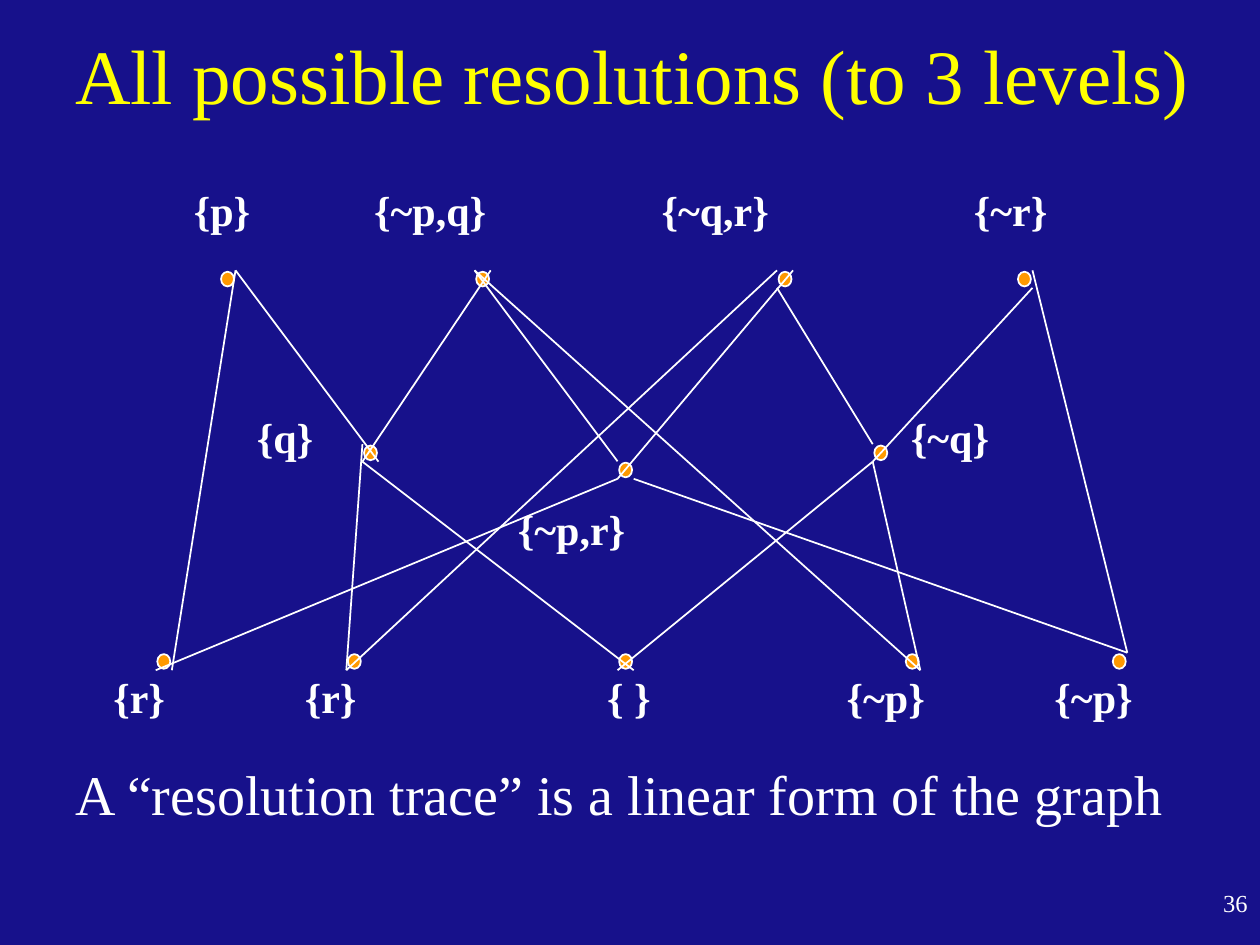
from dataclasses import dataclass
from typing import NamedTuple

from lxml.etree import SubElement
from pptx import Presentation
from pptx.dml.color import RGBColor
from pptx.enum.shapes import MSO_CONNECTOR as Connector, MSO_SHAPE as Shape
from pptx.enum.text import MSO_ANCHOR as Anchor, MSO_AUTO_SIZE as AutoSize, PP_ALIGN as Align
from pptx.oxml.ns import qn
from pptx.util import Pt


@dataclass(frozen=True)
class Theme:
    background: RGBColor = RGBColor(0x17, 0x11, 0x8B)
    title: RGBColor = RGBColor(0xFF, 0xFF, 0x00)
    ink: RGBColor = RGBColor(0xFF, 0xFF, 0xFF)
    node: RGBColor = RGBColor(0xFF, 0x99, 0x00)
    font: str = "Times New Roman"
    title_size: int = 44
    remark_size: int = 32
    clause_size: int = 24
    number_size: int = 14
    stroke: int = 1


class Clause(NamedTuple):
    text: str
    x: float
    y: float
    label_left: float
    label_top: float
    label_width: float


THEME = Theme()
NODE_WIDTH, NODE_HEIGHT = 7.4, 8.4
CORNER_X, CORNER_Y = 4.6, 5
LABEL_HEIGHT = 28.8
PREMISE_Y, MIDDLE_Y, RESULT_Y = 159.5, 258.8, 378
PREMISE_LABEL, MIDDLE_LABEL, RESULT_LABEL = 107.6, 237.6, 386.2

CLAUSES = {
    "p": Clause("{p}", 130, PREMISE_Y, 105.8, PREMISE_LABEL, 44),
    "not_p_q": Clause("{~p,q}", 275.8, PREMISE_Y, 208.8, PREMISE_LABEL, 76),
    "not_q_r": Clause("{~q,r}", 448.6, PREMISE_Y, 373, PREMISE_LABEL, 73),
    "not_r": Clause("{~r}", 585.4, PREMISE_Y, 551.5, PREMISE_LABEL, 53.5),
    "q": Clause("{q}", 211.7, MIDDLE_Y, 141.8, MIDDLE_LABEL, 44),
    "not_p_r": Clause("{~p,r}", 357.5, 268.6, 290.9, 290.2, 73),
    "not_q": Clause("{~q}", 503.3, MIDDLE_Y, 515.5, MIDDLE_LABEL, 56),
    "r_first": Clause("{r}", 93.6, RESULT_Y, 59.8, RESULT_LABEL, 41),
    "r_second": Clause("{r}", 202.5, RESULT_Y, 169.2, RESULT_LABEL, 41),
    "empty": Clause("{ }", 357.5, RESULT_Y, 342, RESULT_LABEL, 37),
    "not_p_first": Clause("{~p}", 521.3, RESULT_Y, 478.8, RESULT_LABEL, 56),
    "not_p_second": Clause("{~p}", 639.6, RESULT_Y, 597.6, RESULT_LABEL, 56),
}

RESOLUTIONS = [
    ("p", "ne", "r_first", "se"),
    ("p", "ne", "q", "se"),
    ("not_p_q", "ne", "q", "sw"),
    ("not_p_q", "nw", "not_p_r", "nw"),
    ("not_q_r", "ne", "not_p_r", "sw"),
    ("not_q_r", "sw", "not_q", "nw"),
    ("not_r", "se", "not_q", "sw"),
    ("q", "nw", "r_second", "sw"),
    ("not_q_r", "nw", "r_second", "sw"),
    ("not_p_r", "sw", "r_first", "sw"),
    ("not_r", "ne", "not_p_second", "ne"),
    ("not_p_r", "se", "not_p_second", "ne"),
    ("not_q", "sw", "not_p_first", "se"),
    ("not_p_q", "nw", "not_p_first", "se"),
    ("q", "sw", "empty", "se"),
    ("not_q", "sw", "empty", "sw"),
]


def add_text(slide, text, box, size, color=THEME.ink, align=Align.LEFT, bold=False,
             wrap=False, inset=(5, 2.2), spacing=0.85, anchor=Anchor.TOP,
             fit=AutoSize.SHAPE_TO_FIT_TEXT):
    frame = slide.shapes.add_textbox(*map(Pt, box)).text_frame
    frame.margin_left = frame.margin_right = Pt(inset[0])
    frame.margin_top = frame.margin_bottom = Pt(inset[1])
    frame.word_wrap = wrap
    frame.auto_size = fit
    frame.vertical_anchor = anchor
    frame.text = text
    paragraph = frame.paragraphs[0]
    paragraph.alignment = align
    paragraph.line_spacing = spacing
    font = paragraph.runs[0].font
    font.name, font.size, font.bold = THEME.font, Pt(size), bold
    font.color.rgb = color


def add_label(slide, clause):
    box = (clause.label_left, clause.label_top, clause.label_width, LABEL_HEIGHT)
    add_text(slide, clause.text, box, THEME.clause_size, bold=True)


def add_node(slide, clause):
    node = slide.shapes.add_shape(
        Shape.OVAL, Pt(clause.x - NODE_WIDTH / 2), Pt(clause.y - NODE_HEIGHT / 2),
        Pt(NODE_WIDTH), Pt(NODE_HEIGHT))
    node.shadow.inherit = False
    node.fill.solid()
    node.fill.fore_color.rgb = THEME.node
    node.line.color.rgb = THEME.ink
    node.line.width = Pt(THEME.stroke)


def corner(clause, direction):
    dx = CORNER_X if "e" in direction else -CORNER_X
    dy = CORNER_Y if "s" in direction else -CORNER_Y
    return Pt(clause.x + dx), Pt(clause.y + dy)


def add_resolution(slide, parent, parent_corner, resolvent, resolvent_corner):
    edge = slide.shapes.add_connector(
        Connector.STRAIGHT, *corner(CLAUSES[parent], parent_corner),
        *corner(CLAUSES[resolvent], resolvent_corner))
    edge.line.color.rgb = THEME.ink
    edge.line.width = Pt(THEME.stroke)
    SubElement(edge._element.spPr, qn("a:effectLst"))


def main():
    deck = Presentation()
    deck.slide_width, deck.slide_height = Pt(720), Pt(540)
    slide = deck.slides.add_slide(deck.slide_layouts[6])
    slide.background.fill.solid()
    slide.background.fill.fore_color.rgb = THEME.background

    add_text(slide, "36", (570.2, 504, 149.8, 36), THEME.number_size, align=Align.RIGHT,
             wrap=True, inset=(7.2, 3.6), spacing=1.0, fit=AutoSize.NONE)
    for clause in CLAUSES.values():
        add_label(slide, clause)
    for clause in CLAUSES.values():
        add_node(slide, clause)
    for resolution in RESOLUTIONS:
        add_resolution(slide, *resolution)
    add_text(slide, "A “resolution trace” is a linear form of the graph",
             (18.3, 437.8, 671.8, 36.7), THEME.remark_size, align=Align.CENTER, wrap=True)
    add_text(slide, "All possible resolutions (to 3 levels)", (35.7, 23.8, 651.6, 44.6),
             THEME.title_size, THEME.title, Align.CENTER, inset=(7.2, 0),
             anchor=Anchor.MIDDLE)
    deck.save("out.pptx")


if __name__ == "__main__":
    main()
